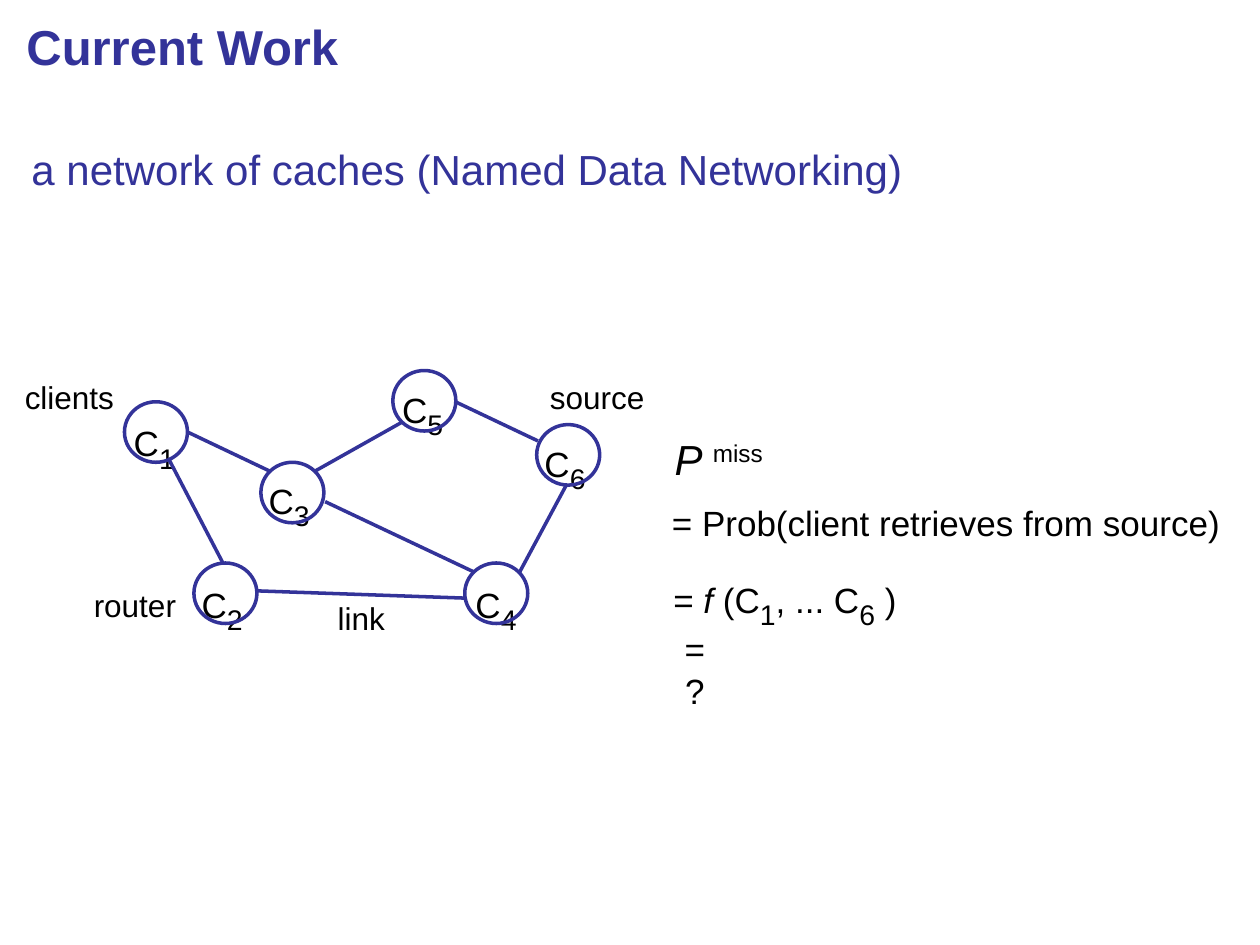
import pptx
import pptx.util
import pptx.dml.color
import pptx.enum.shapes
import pptx.enum.text
from lxml import etree

Cm = pptx.util.Cm
Pt = pptx.util.Pt
Align = pptx.enum.text.PP_ALIGN

HUES = {"blue": "333399", "ink": "000000"}

TITLE = ("Current Work", (0.28, 0.2, 6.88, 1.45), {"size": 28, "bold": True})
BODY = ("a network of caches (Named Data Networking)",
        (0.38, 2.77, 18.24, 1.27), {"size": 24})

TAGS = [
    ("clients", (0.23, 7.49, 2.34, 1.02)),
    ("source", (10.82, 7.49, 2.44, 1.02)),
    ("router", (1.63, 11.68, 2.18, 1.02)),
    ("link", (6.55, 11.96, 1.47, 1.02)),
]

SIZE = (1.27, 1.22)
NODES = {
    "1": ((2.51, 8.1), (2.41, 8.1)),
    "2": ((3.91, 11.35), (3.78, 11.35)),
    "3": ((5.26, 9.32), (5.13, 9.25)),
    "4": ((9.37, 11.35), (9.3, 11.35)),
    "5": ((7.92, 7.47), (7.82, 7.42)),
    "6": ((10.82, 8.56), (10.69, 8.51)),
}

LINKS = [
    (("1", 1, 0.5), ("3", 0.15, 0.15)),
    (("3", 1.02, 0.65), ("4", 0.15, 0.15)),
    (("3", 0.85, 0.15), ("5", 0.15, 0.85)),
    (("1", 0.7, 0.94), ("2", 0.46, 0)),
    (("2", 1, 0.46), ("4", 0, 0.58)),
    (("5", 1, 0.52), ("6", 0.02, 0.27)),
    (("6", 0.48, 0.98), ("4", 0.86, 0.17)),
]

MAIN = {"size": 20}
SUB = {"size": 28, "base": -25}
MATH = [
    ([("= Prob(client retrieves from source)", MAIN)],
     (13.26, 9.98, 11.63, 1.12), False),
    ([("P ", {"size": 24, "italic": True}), ("miss", {"size": 24, "base": 30})],
     (13.13, 8.61, 2.72, 2.29), True),
    ([("= ", MAIN), ("f", {"size": 20, "italic": True}), (" (C", MAIN),
      ("1", SUB), (", ... C", MAIN), ("6", SUB), (" )", MAIN)],
     (13.26, 11.25, 5.13, 1.12), False),
    ([("= ?", MAIN)], (13.26, 12.52, 1.5, 1.12), False),
]


def tint(hue):
    return pptx.dml.color.RGBColor.from_string(HUES[hue])


def write(box, runs, hue="ink", align=Align.CENTER, wrap=False):
    frame = box.text_frame
    look = {"word_wrap": wrap,
            "auto_size": pptx.enum.text.MSO_AUTO_SIZE.SHAPE_TO_FIT_TEXT,
            "vertical_anchor": pptx.enum.text.MSO_ANCHOR.TOP}
    for key, value in look.items():
        setattr(frame, key, value)
    para = frame.paragraphs[0]
    para.alignment = align
    para.space_before = Pt(0)
    for text, style in runs:
        run = para.add_run()
        run.text = text
        form = {"name": "Arial", "bold": False, "italic": False, **style}
        base = form.pop("base", 0)
        form["size"] = Pt(form["size"])
        for key, value in form.items():
            setattr(run.font, key, value)
        run.font.color.rgb = tint(hue)
        if base:
            run.font._element.set("baseline", str(base * 1000))
    return para


def place(holder, item):
    text, spot, style = item
    for key, value in zip(("left", "top", "width", "height"), spot):
        setattr(holder, key, Cm(value))
    return write(holder, [(text, style)], "blue", Align.LEFT)


def label(shapes, runs, spot, wrap=False):
    write(shapes.add_textbox(*map(Cm, spot)), runs, wrap=wrap)


def stroke(line):
    line.color.rgb = tint("blue")
    line.width = Pt(2)


def point(end):
    name, *part = end
    return [Cm(a + b * c) for a, b, c in zip(NODES[name][0], SIZE, part)]


def main():
    deck = pptx.Presentation()
    deck.slide_width, deck.slide_height = Cm(25.4), Cm(19.05)
    slide = deck.slides.add_slide(deck.slide_layouts[1])
    shapes = slide.shapes

    place(shapes.title, TITLE)
    props = place(slide.placeholders[1], BODY)._p.get_or_add_pPr()
    props.set("marL", "0")
    props.set("indent", "0")
    etree.SubElement(props, pptx.oxml.ns.qn("a:buNone"))

    for text, spot in TAGS:
        label(shapes, [(text, {"size": 18})], spot)
    for name, (_, spot) in NODES.items():
        label(shapes, [("C", MAIN), (name, SUB)], (*spot, 1.4, 1.12))
    for spot, _ in NODES.values():
        ring = shapes.add_shape(pptx.enum.shapes.MSO_SHAPE.OVAL,
                                *map(Cm, spot + SIZE))
        ring.shadow.inherit = False
        ring.fill.background()
        stroke(ring.line)
    for head, tail in LINKS:
        link = shapes.add_connector(pptx.enum.shapes.MSO_CONNECTOR.STRAIGHT,
                                    *point(head), *point(tail))
        stroke(link.line)
        etree.SubElement(link._element.spPr, pptx.oxml.ns.qn("a:effectLst"))
    for runs, spot, wrap in MATH:
        label(shapes, runs, spot, wrap)

    deck.save("out.pptx")


if __name__ == "__main__":
    main()
